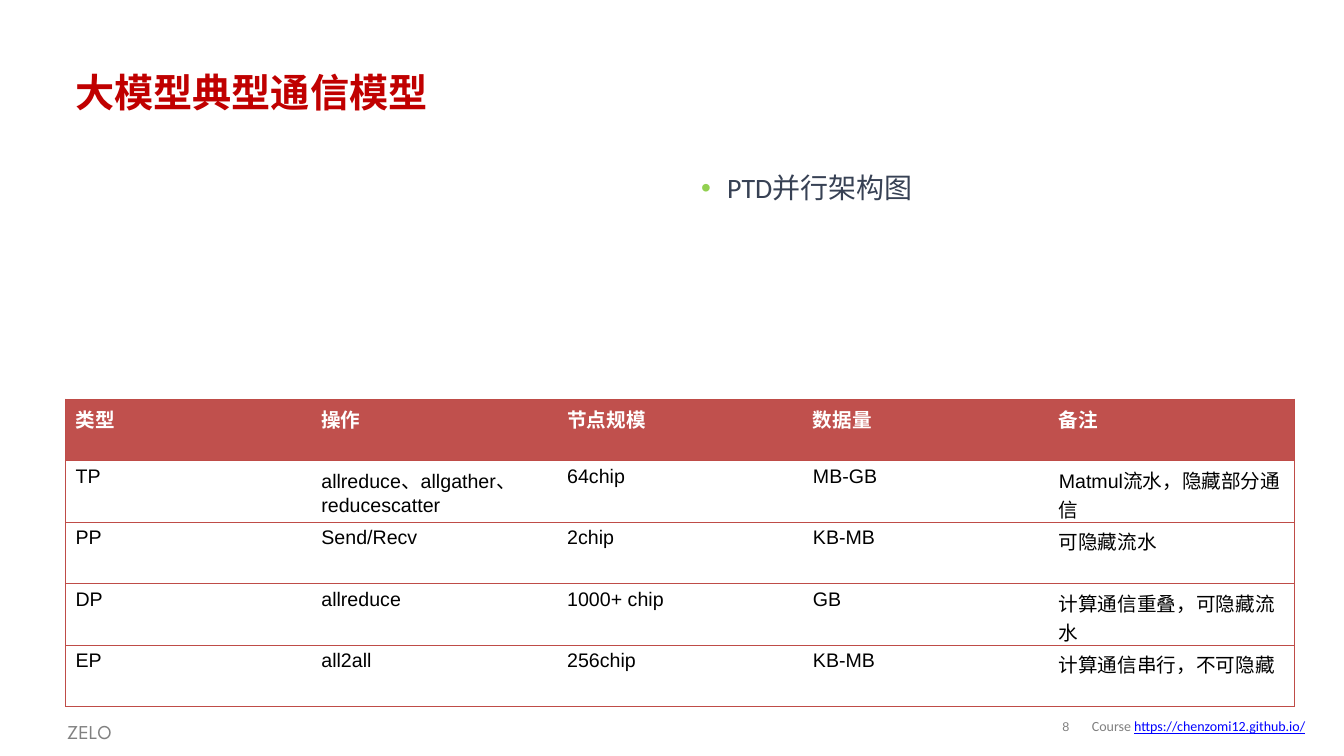
"""Builds the slide on typical communication patterns of large models."""
import lxml.etree
import pptx
import pptx.dml.color
import pptx.enum.text
import pptx.oxml.ns
import pptx.util

Pt = pptx.util.Pt
Align = pptx.enum.text.PP_ALIGN
Anchor = pptx.enum.text.MSO_ANCHOR
qn = pptx.oxml.ns.qn

RED, GRAY, BLUE, BORDER = "C00000", "808080", "0000FF", "BF4C48"
HEADER_FILL = "C0504D"
ROWS = [
    ["类型", "操作", "节点规模", "数据量", "备注"],
    ["TP", "allreduce、allgather、reducescatter", "64chip", "MB-GB", "Matmul流水，隐藏部分通信"],
    ["PP", "Send/Recv", "2chip", "KB-MB", "可隐藏流水"],
    ["DP", "allreduce", "1000+ chip", "GB", "计算通信重叠，可隐藏流水"],
    ["EP", "all2all", "256chip", "KB-MB", "计算通信串行，不可隐藏"],
]


def rgb(value):
    """Return the colour for a hex string."""
    return pptx.dml.color.RGBColor.from_string(value)


def add_run(paragraph, text, size, font, color, bold=False, underline=False):
    """Add one formatted run to a paragraph."""
    run = paragraph.add_run()
    run.text = text
    run.font.size = Pt(size)
    run.font.name = font
    run.font.bold = bold
    run.font.underline = underline
    run.font.color.rgb = rgb(color)


def add_text(slide, left, top, width, height, anchor=Anchor.MIDDLE, inset=None):
    """Add a wrapping text box and return its first paragraph."""
    frame = slide.shapes.add_textbox(Pt(left), Pt(top), Pt(width), Pt(height)).text_frame
    frame.word_wrap = True
    frame.vertical_anchor = anchor
    if inset is not None:
        frame.margin_left = frame.margin_right = Pt(inset)
        frame.margin_top = frame.margin_bottom = Pt(inset)
    return frame.paragraphs[0]


def add_bullet(paragraph, color, indent):
    """Give a paragraph a coloured bullet with a hanging indent."""
    properties = paragraph._p.get_or_add_pPr()
    properties.set("marL", str(Pt(indent)))
    properties.set("indent", str(-Pt(indent)))
    bullet_color = lxml.etree.SubElement(properties, qn("a:buClr"))
    lxml.etree.SubElement(bullet_color, qn("a:srgbClr"), val=color)
    lxml.etree.SubElement(properties, qn("a:buFont"), typeface="Arial")
    lxml.etree.SubElement(properties, qn("a:buChar"), char="•")


def set_borders(cell, visible):
    """Draw the named sides of a cell and clear the others."""
    properties = cell._tc.get_or_add_tcPr()
    for index, side in enumerate("LRTB"):
        line = lxml.etree.Element(qn(f"a:ln{side}"), w=str(Pt(0.75)))
        if side in visible:
            fill = lxml.etree.SubElement(line, qn("a:solidFill"))
            lxml.etree.SubElement(fill, qn("a:srgbClr"), val=BORDER)
        else:
            lxml.etree.SubElement(line, qn("a:noFill"))
        properties.insert(index, line)


def add_table(slide, rows, left, top, width, height):
    """Add a table with a filled header and horizontal rules."""
    columns = len(rows[0])
    table = slide.shapes.add_table(
        len(rows), columns, Pt(left), Pt(top), Pt(width), Pt(height)).table
    table.horz_banding = False
    for row_index, row in enumerate(rows):
        header = row_index == 0
        for column_index, text in enumerate(row):
            cell = table.cell(row_index, column_index)
            if header:
                cell.fill.solid()
                cell.fill.fore_color.rgb = rgb(HEADER_FILL)
            else:
                cell.fill.background()
            sides = "TB"
            if column_index == 0:
                sides += "L"
            if column_index == columns - 1:
                sides += "R"
            set_borders(cell, sides)
            add_run(cell.text_frame.paragraphs[0], text, 14, "Arial",
                    "FFFFFF" if header else "000000", bold=header)


def add_footer(slide):
    """Add the page number, the author label and the course address."""
    number = add_text(slide, 748.8, 508.3, 25.9, 22.3, inset=0)
    number.alignment = Align.CENTER
    number.line_spacing = 0.85
    add_run(number, "8", 9, "Arial", GRAY)
    label = add_text(slide, 41, 507.6, 57.6, 25.9, Anchor.TOP)
    label.line_spacing = 1.2
    add_run(label, "ZELO", 14, "League Spartan", GRAY)
    course = add_text(slide, 773.3, 508.3, 177.1, 20.9)
    add_run(course, "Course ", 10, "Calibri", GRAY)
    add_run(course, "https://chenzomi12.github.io/", 10, "Calibri", BLUE, underline=True)


def main():
    """Build and save the slide."""
    presentation = pptx.Presentation()
    presentation.slide_width = Pt(960.48)
    presentation.slide_height = Pt(540)
    slide = presentation.slides.add_slide(presentation.slide_layouts[6])
    add_footer(slide)
    title = add_text(slide, 46.8, 42.5, 863.3, 46.1)
    add_run(title, "大模型典型通信模型", 28, "League Spartan", RED, bold=True)
    add_table(slide, ROWS, 46.8, 285.1, 878.4, 219.6)
    body = add_text(slide, 493.9, 106.6, 416.9, 398.2, Anchor.TOP)
    body.line_spacing = 1.5
    add_bullet(body, "92D050", 18.7)
    add_run(body, "PTD并行架构图", 20, "Calibri", "374154")
    presentation.save("out.pptx")


if __name__ == "__main__":
    main()
